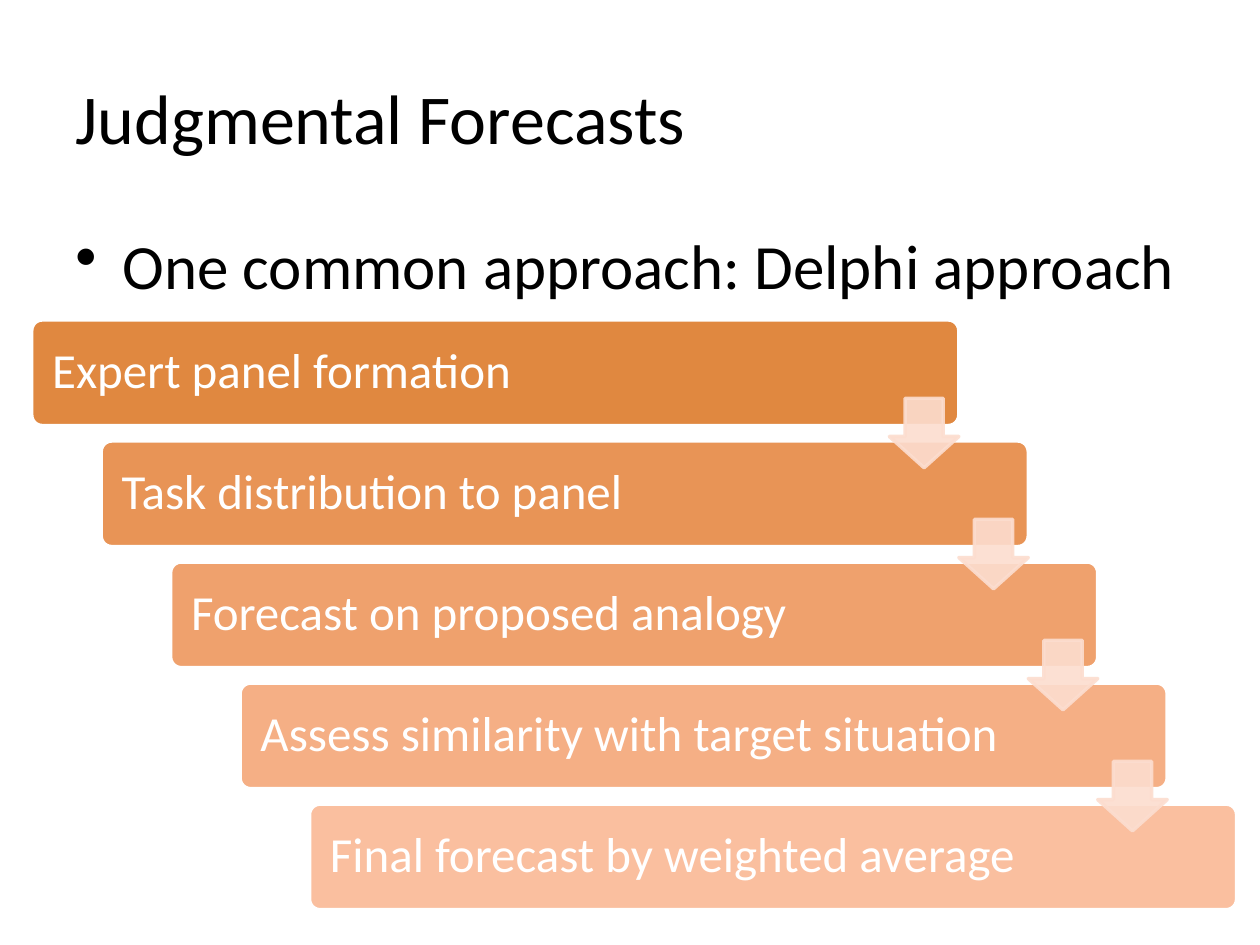
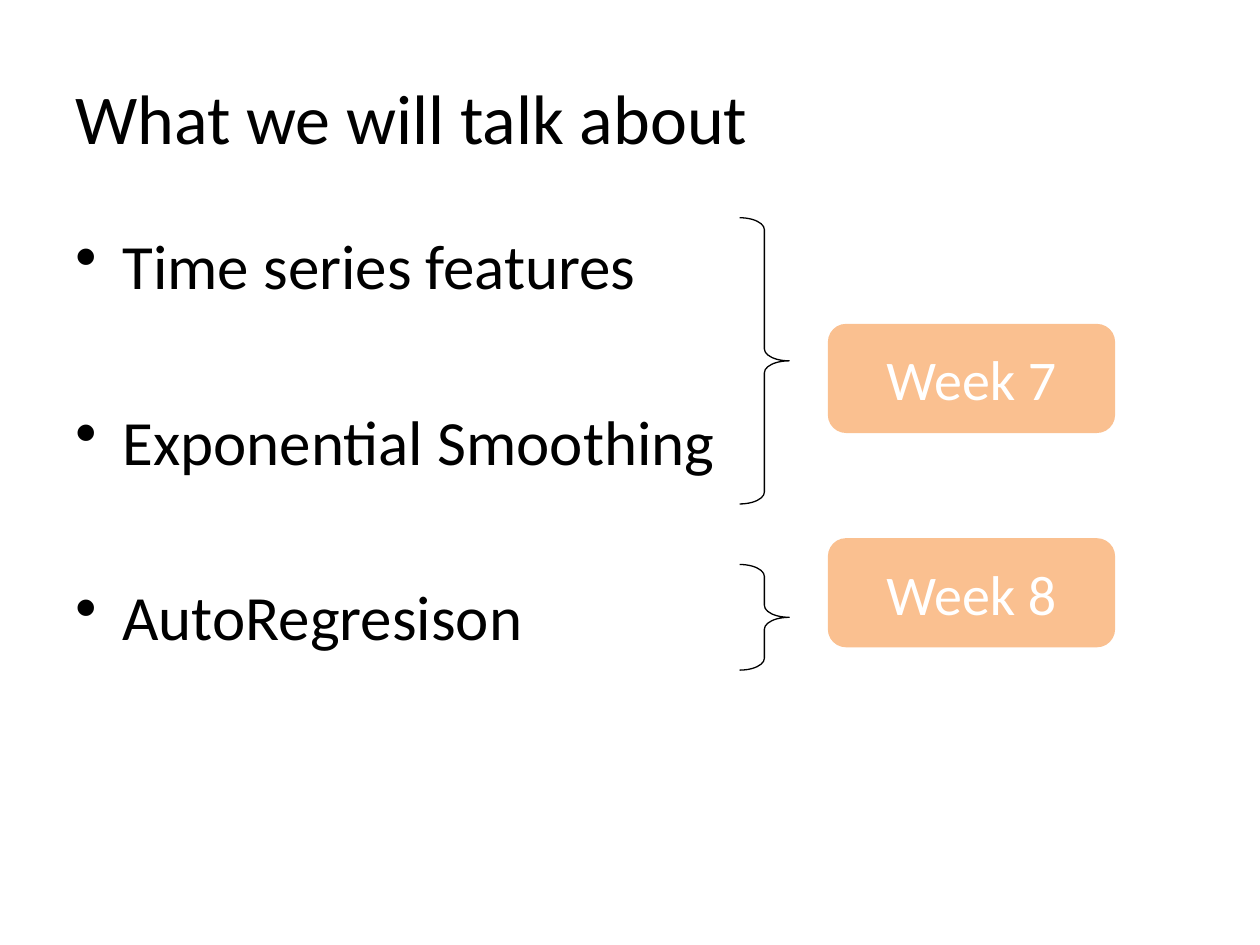
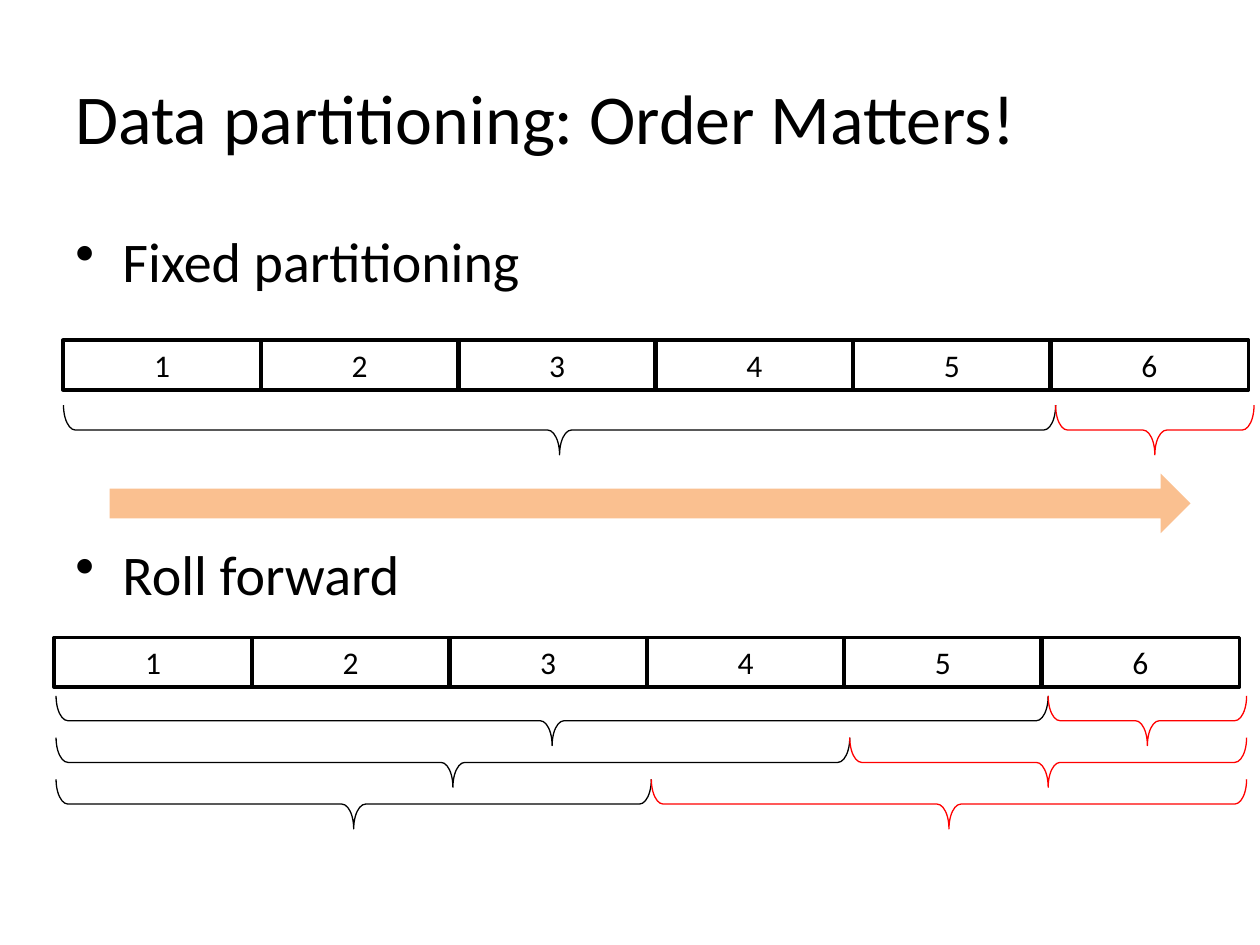
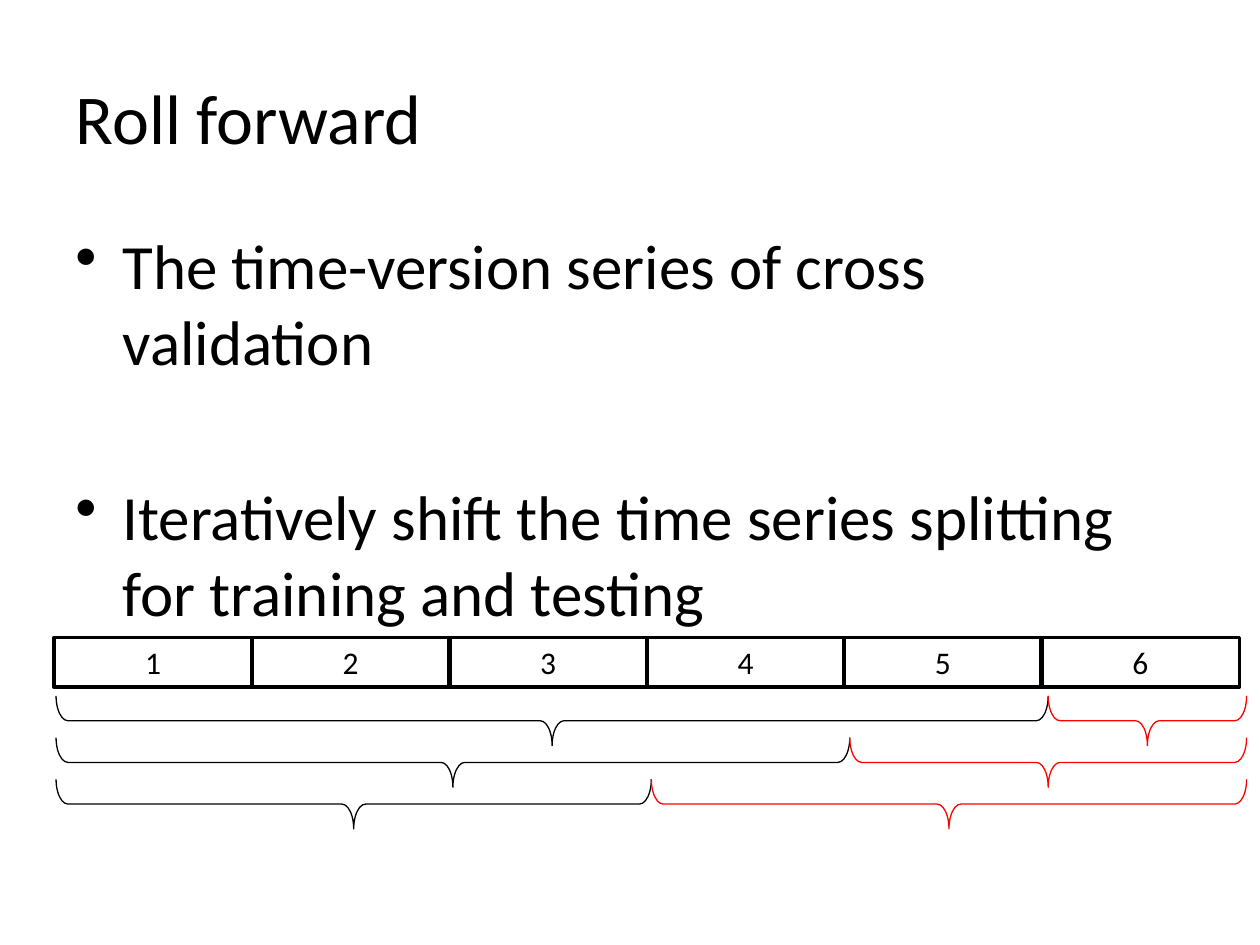
from dataclasses import dataclass

from lxml.etree import SubElement
from pptx import Presentation
from pptx.dml.color import RGBColor
from pptx.enum.shapes import MSO_SHAPE as Preset
from pptx.enum.text import MSO_ANCHOR as Anchor, MSO_AUTO_SIZE as AutoSize, PP_ALIGN as Align
from pptx.oxml.ns import qn
from pptx.util import Cm, Pt


@dataclass(frozen=True)
class Theme:
    font: str = "Calibri"
    ink: str = "000000"
    paper: str = "FFFFFF"
    accent: str = "FAC090"
    test: str = "FF0000"
    arrow: str = "FCDDCF"
    steps: tuple = ("E08840", "E89456", "EFA16D", "F5AF85", "FABF9F")
    title_size: int = 40
    body_size: int = 36
    compact_size: int = 32
    step_size: int = 28
    cell_size: int = 18
    bold_line: float = 2
    thin_line: float = 0.75


THEME = Theme()
CELL_COUNT = 6
CELL_STEP = 3.98
CELL_WIDTH = 4
BAND_HEIGHT = 1


def color(value):
    return RGBColor.from_string(value)


def write(para, text, size=THEME.body_size, ink=THEME.ink, align=Align.LEFT):
    para.alignment = align
    span = para.add_run()
    span.text = text
    span.font.name = THEME.font
    span.font.size = Pt(size)
    span.font.color.rgb = color(ink)


def add_page(deck, title):
    page = deck.slides.add_slide(deck.slide_layouts[5])
    box = page.shapes.title
    box.left, box.top, box.width, box.height = Cm(1.27), Cm(0.76), Cm(22.86), Cm(3.18)
    frame = box.text_frame
    frame.auto_size = AutoSize.NONE
    frame.vertical_anchor = Anchor.MIDDLE
    write(frame.paragraphs[0], title, size=THEME.title_size)
    return page


def add_bullets(page, items, height, size=THEME.body_size, gap=57):
    box = page.shapes.add_textbox(Cm(1.27), Cm(4.45), Cm(22.86), Cm(height))
    frame = box.text_frame
    frame.word_wrap = True
    for index, item in enumerate(items):
        para = frame.add_paragraph() if index else frame.paragraphs[0]
        properties = para._p.get_or_add_pPr()
        properties.set("marL", str(Cm(0.95)))
        properties.set("indent", str(-Cm(0.95)))
        SubElement(properties, qn("a:buChar"), char="•")
        para.space_before = Pt(gap if index else 0)
        write(para, item, size=size)


def add_preset(page, preset, left, top, width, height, fill=None, line=None,
               weight=THEME.bold_line, adjustments=()):
    shape = page.shapes.add_shape(preset, Cm(left), Cm(top), Cm(width), Cm(height))
    shape.shadow.inherit = False
    if fill:
        shape.fill.solid()
        shape.fill.fore_color.rgb = color(fill)
    else:
        shape.fill.background()
    if line:
        shape.line.color.rgb = color(line)
        shape.line.width = Pt(weight)
    else:
        shape.line.fill.background()
    for index, value in enumerate(adjustments):
        shape.adjustments[index] = value
    return shape


def label(shape, text, **style):
    frame = shape.text_frame
    frame.word_wrap = True
    frame.vertical_anchor = Anchor.MIDDLE
    write(frame.paragraphs[0], text, **style)
    return frame


def make_translucent(shape, percent):
    for tint in shape._element.spPr.iter(qn("a:srgbClr")):
        SubElement(tint, qn("a:alpha"), val=str(percent * 1000))


def add_brace(page, left, top, width, height, line=THEME.ink):
    return add_preset(page, Preset.RIGHT_BRACE, left, top, width, height, line=line,
                      weight=THEME.thin_line, adjustments=(0.24, 0.5))


def add_brace_below(page, left, top, span, line):
    offset = (span - BAND_HEIGHT) / 2
    brace = add_brace(page, left + offset, top - offset, BAND_HEIGHT, span, line)
    brace.rotation = 90


def add_steps(page, steps):
    shift, drop = 1.4, 2.44
    for index, (text, fill) in enumerate(zip(steps, THEME.steps)):
        step = add_preset(page, Preset.ROUNDED_RECTANGLE, 0.64 + index * shift,
                          6.45 + index * drop, 18.69, 2.13, fill=fill, line=THEME.paper,
                          adjustments=(0.1,))
        frame = label(step, text, size=THEME.step_size, ink=THEME.paper)
        frame.margin_left = Cm(0.35)
        frame.paragraphs[0].line_spacing = 0.9
    for index in range(len(steps) - 1):
        arrow = add_preset(page, Preset.DOWN_ARROW, 17.93 + index * shift,
                           8.03 + index * drop, 1.4, 1.4, fill=THEME.arrow,
                           line=THEME.arrow, adjustments=(0.55, 0.45))
        make_translucent(arrow, 90)


def add_week(page, text, top):
    week = add_preset(page, Preset.ROUNDED_RECTANGLE, 16.69, top, 5.79, 2.2,
                      fill=THEME.accent)
    label(week, text, size=THEME.compact_size, ink=THEME.paper, align=Align.CENTER)


def add_series(page, left, top):
    for index in range(CELL_COUNT):
        cell = add_preset(page, Preset.RECTANGLE, left + index * CELL_STEP, top,
                          CELL_WIDTH, BAND_HEIGHT, line=THEME.ink)
        label(cell, str(index + 1), size=THEME.cell_size, align=Align.CENTER)


def add_split(page, left, top, training_cells):
    training = training_cells * CELL_WIDTH
    testing = (CELL_COUNT - training_cells) * CELL_WIDTH
    add_brace_below(page, left, top, training, THEME.ink)
    add_brace_below(page, left + training, top, testing, THEME.test)


def add_roll_forward(page):
    add_series(page, 1.09, 12.85)
    for index, training_cells in enumerate((5, 4, 3)):
        add_split(page, 1.13, 14.03 + index * 0.84, training_cells)


def build_judgmental(deck):
    page = add_page(deck, "Judgmental Forecasts")
    add_bullets(page, ["One common approach: Delphi approach"], 12.57)
    add_steps(page, ["Expert panel formation", "Task distribution to panel",
                     "Forecast on proposed analogy",
                     "Assess similarity with target situation",
                     "Final forecast by weighted average"])


def build_agenda(deck):
    page = add_page(deck, "What we will talk about")
    add_bullets(page, ["Time series features", "Exponential Smoothing",
                       "AutoRegresison"], 12.57)
    add_brace(page, 14.91, 4.39, 1, 5.77)
    add_brace(page, 14.91, 11.38, 1, 2.13)
    add_week(page, "Week 7", 6.53)
    add_week(page, "Week 8", 10.85)


def build_partitioning(deck):
    page = add_page(deck, "Data partitioning: Order Matters!")
    add_bullets(page, ["Fixed partitioning", "Roll forward"], 6.76,
                size=THEME.compact_size, gap=140)
    add_series(page, 1.27, 6.86)
    add_split(page, 1.28, 8.17, 5)
    add_roll_forward(page)
    add_preset(page, Preset.RIGHT_ARROW, 2.21, 9.55, 21.79, 1.2, fill=THEME.accent)


def build_roll_forward(deck):
    page = add_page(deck, "Roll forward")
    add_bullets(page, ["The time-version series of cross validation",
                       "Iteratively shift the time series splitting for training and testing"],
                7.09)
    add_roll_forward(page)


def main():
    deck = Presentation()
    deck.slide_width, deck.slide_height = Cm(25.4), Cm(19.05)
    build_judgmental(deck)
    build_agenda(deck)
    build_partitioning(deck)
    build_roll_forward(deck)
    deck.save("out.pptx")


if __name__ == "__main__":
    main()
